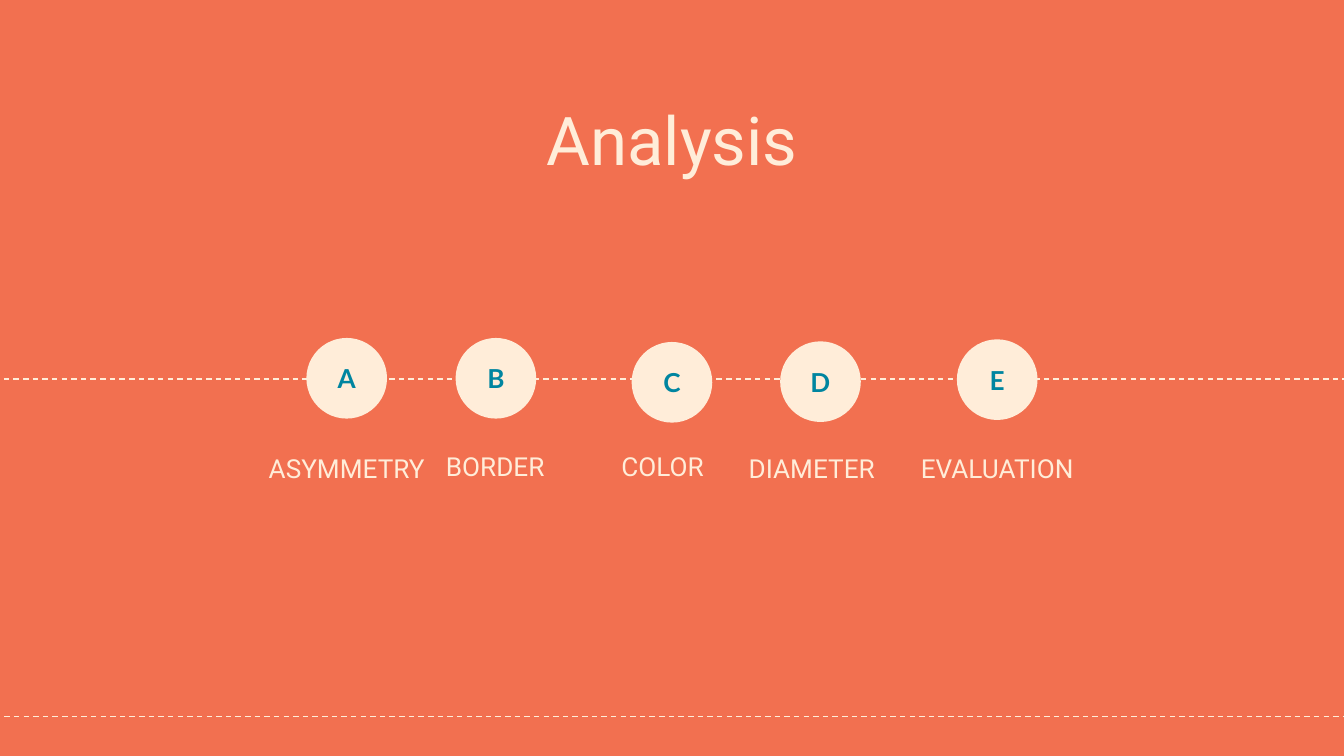
from pptx import Presentation
from pptx.dml.color import RGBColor
from pptx.enum.dml import MSO_LINE
from pptx.enum.shapes import MSO_CONNECTOR, MSO_SHAPE
from pptx.enum.text import MSO_ANCHOR, MSO_AUTO_SIZE, PP_ALIGN
from pptx.oxml.ns import qn
from pptx.util import Pt
from lxml import etree

PX = 4572  # EMU per px, 200 px to the inch
CORAL = RGBColor(0xF2, 0x70, 0x50)
CREAM = RGBColor(0xFF, 0xED, 0xD9)
TEAL = RGBColor(0x00, 0x85, 0xA0)
STRAIGHT = MSO_CONNECTOR.STRAIGHT
OVAL = MSO_SHAPE.OVAL
DASH = MSO_LINE.DASH
TOP, MIDDLE = MSO_ANCHOR.TOP, MSO_ANCHOR.MIDDLE
CENTER = PP_ALIGN.CENTER
FIXED = MSO_AUTO_SIZE.NONE
TITLE_ONLY = 5

INSET = 20
DOT = 120
LABEL_W, LABEL_H = 350, 116
# letter, word, dot left and top, label left and top, within the row
STEPS = [
    ("A", "ASYMMETRY", 116, 0, 1, 150),
    ("B", "BORDER", 338, 0, 222, 147),
    ("C", "COLOR", 600, 6, 471, 147),
    ("D", "DIAMETER", 821, 5, 693, 150),
    ("E", "EVALUATION", 1084, 2, 969, 150),
]


def emu(*sizes):
    return [size * PX for size in sizes]


def write(shape, text, size, font, color, anchor=TOP, bold=False):
    frame = shape.text_frame
    frame.word_wrap = True
    frame.auto_size = FIXED
    frame.vertical_anchor = anchor
    frame.margin_left = frame.margin_right = INSET * PX
    frame.margin_top = frame.margin_bottom = INSET * PX
    para = frame.paragraphs[0]
    para.text = text
    para.alignment = CENTER
    para.font.size = Pt(size)
    para.font.name = font
    para.font.bold = bold
    para.font.color.rgb = color


def add_rule(slide, left, right, y):
    rule = slide.shapes.add_connector(STRAIGHT, *emu(left, y, right, y))
    rule.line.color.rgb = CREAM
    rule.line.width = Pt(0.75)
    rule.line.dash_style = DASH
    etree.SubElement(rule.element.spPr, qn("a:effectLst"))


def add_title(slide, left, top, width, height):
    title = slide.shapes.title
    title.left, title.top, title.width, title.height = emu(
        left, top, width, height)
    write(title, "Analysis", 36, "Roboto", CREAM)


def add_steps(slide, left, top):
    for letter, word, dot_x, dot_y, word_x, word_y in STEPS:
        # Lettered dot
        dot = slide.shapes.add_shape(
            OVAL, *emu(left + dot_x, top + dot_y, DOT, DOT))
        dot.shadow.inherit = False
        dot.fill.solid()
        dot.fill.fore_color.rgb = CREAM
        dot.line.fill.background()
        write(dot, letter, 14, "Lato", TEAL, MIDDLE, True)
        # Word below
        label = slide.shapes.add_textbox(
            *emu(left + word_x, top + word_y, LABEL_W, LABEL_H))
        write(label, word, 14, "Roboto", CREAM)


def main():
    deck = Presentation()
    deck.slide_width, deck.slide_height = emu(2000, 1125)
    slide = deck.slides.add_slide(deck.slide_layouts[TITLE_ONLY])
    slide.background.fill.solid()
    slide.background.fill.fore_color.rgb = CORAL

    # Dashed rules behind the row and at the foot
    add_rule(slide, -23, 2060, 564)
    add_rule(slide, -8, 2074, 1066)
    add_title(slide, 497, 126, 1006, 184)
    add_steps(slide, 340, 503)
    deck.save("out.pptx")


if __name__ == "__main__":
    main()
